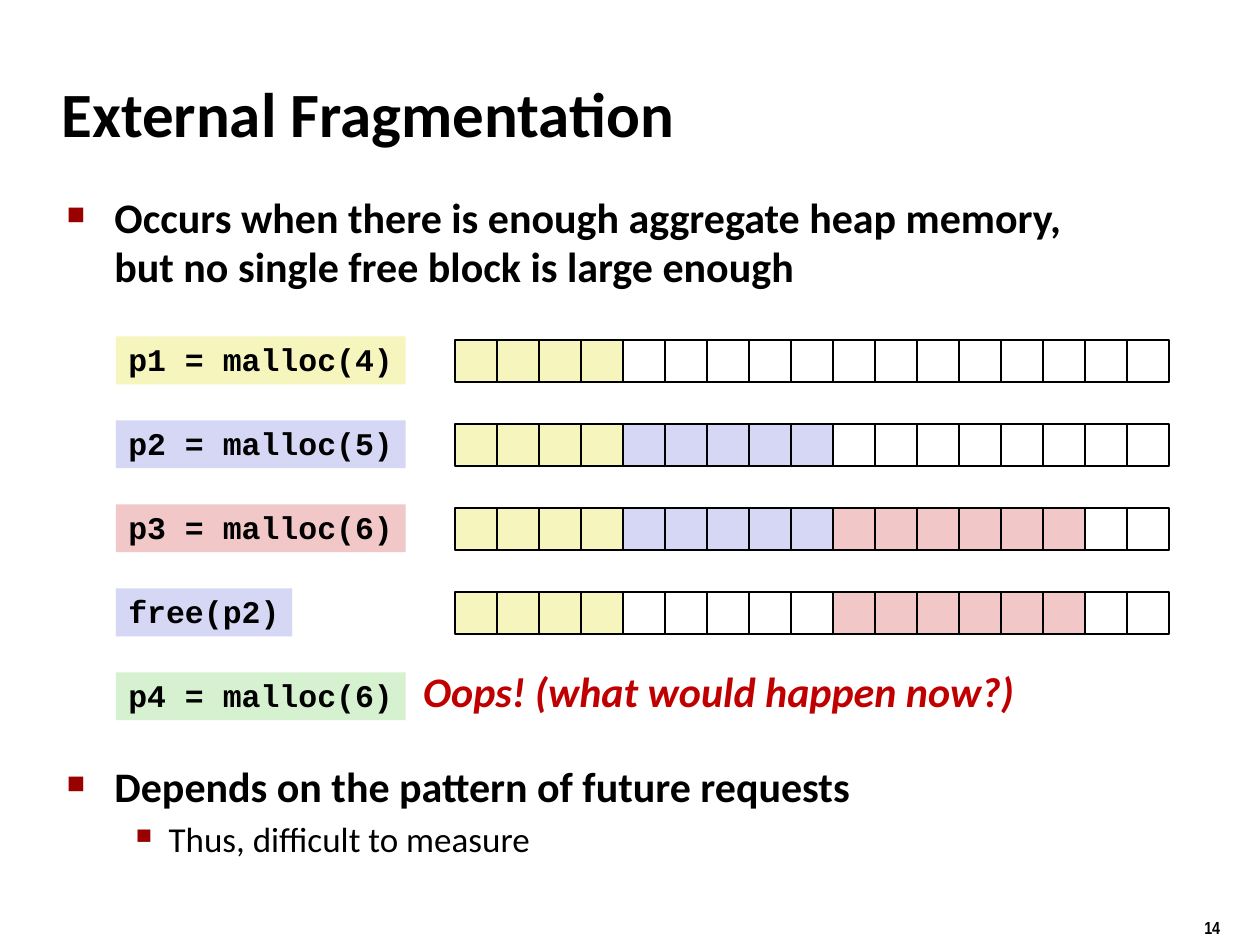
from dataclasses import dataclass

from lxml.etree import SubElement
from pptx import Presentation
from pptx.dml.color import RGBColor as RGB
from pptx.enum.shapes import MSO_SHAPE as SHAPE
from pptx.enum.text import MSO_ANCHOR as ANCHOR
from pptx.oxml.ns import qn
from pptx.util import Inches, Pt


@dataclass(frozen=True)
class Theme:
    ink: str = "000000"
    free: str = "FFFFFF"
    bullet: str = "990000"
    alert: str = "C00000"
    p1: str = "F6F5BD"
    p2: str = "D6D6F5"
    p3: str = "F1C7C7"
    p4: str = "D5F1CF"
    body_font: str = "Calibri"
    code_font: str = "Courier New"
    number_font: str = "Arial Narrow"
    title_size: int = 36
    body_size: int = 24
    sub_size: int = 20
    code_size: int = 18
    number_size: int = 10


THEME = Theme()
CELL = 1 / 3
ROW_STEP = 2 / 3
HEAP_CELLS = 17


def write(p, text, font=THEME.body_font, size=THEME.body_size,
          color=THEME.ink, bold=True, italic=False, line=None, before=0):
    r = p.add_run()
    r.text = text
    r.font.name = font
    r.font.size = Pt(size)
    r.font.color.rgb = RGB.from_string(color)
    r.font.bold = bold
    r.font.italic = italic
    if line:
        p.line_spacing = line
    p.space_before = Pt(before)


class SlideBuilder:
    def __init__(self, slide, theme):
        self.s = slide
        self.theme = theme

    def text(self, x, y, w, h, text, wrap=False, anchor=ANCHOR.TOP, **fmt):
        sp = self.s.shapes.add_textbox(Inches(x), Inches(y), Inches(w), Inches(h))
        tf = sp.text_frame
        tf.word_wrap = wrap
        tf.vertical_anchor = anchor
        write(tf.paragraphs[0], text, **fmt)
        return sp

    def bullets(self, x, y, w, h, items):
        sp = self.s.shapes.add_textbox(Inches(x), Inches(y), Inches(w), Inches(h))
        tf = sp.text_frame
        tf.word_wrap = True
        for i, (text, level) in enumerate(items):
            p = tf.paragraphs[0] if i == 0 else tf.add_paragraph()
            p.level = level
            size = self.theme.sub_size if level else self.theme.body_size
            write(p, text, size=size, bold=level == 0, line=0.98, before=size / 5)
            self.mark(p, level)

    def mark(self, p, level):
        char, scale, left, hang = (("■", 60, 0.38, 0.38), ("▪", 110, 0.81, 0.31))[level]
        pPr = p._p.get_or_add_pPr()
        pPr.set("marL", str(Inches(left)))
        pPr.set("indent", str(-Inches(hang)))
        clr = SubElement(pPr, qn("a:buClr"))
        SubElement(clr, qn("a:srgbClr"), val=self.theme.bullet)
        SubElement(pPr, qn("a:buSzPct"), val=str(scale * 1000))
        SubElement(pPr, qn("a:buChar"), char=char)

    def code(self, x, y, text, fill):
        sp = self.text(x, y, 0.2 + 0.15 * len(text), 0.38, text, line=0.94,
                       font=self.theme.code_font, size=self.theme.code_size)
        sp.fill.solid()
        sp.fill.fore_color.rgb = RGB.from_string(fill)

    def heap(self, x, y, blocks):
        cells = [color for color, count in blocks for _ in range(count)]
        cells += [self.theme.free] * (HEAP_CELLS - len(cells))
        group = self.s.shapes.add_group_shape()
        for i, color in enumerate(cells):
            sp = group.shapes.add_shape(SHAPE.RECTANGLE, Inches(x + i * CELL),
                                        Inches(y), Inches(CELL), Inches(CELL))
            sp.shadow.inherit = False
            sp.fill.solid()
            sp.fill.fore_color.rgb = RGB.from_string(color)
            sp.line.color.rgb = RGB.from_string(self.theme.ink)
            sp.line.width = Pt(1)


def main():
    prs = Presentation()
    prs.slide_width, prs.slide_height = Inches(10), Inches(7.5)
    t = THEME
    b = SlideBuilder(prs.slides.add_slide(prs.slide_layouts[6]), t)

    b.text(9.46, 7.23, 0.74, 0.26, "14", font=t.number_font, size=t.number_size)
    b.text(0.39, 0.48, 8.3, 0.83, "External Fragmentation", wrap=True,
           anchor=ANCHOR.MIDDLE, size=t.title_size)
    b.bullets(0.43, 1.49, 8.6, 0.95, [
        ("Occurs when there is enough aggregate heap memory, "
         "but no single free block is large enough", 0)])

    block1, block2, block3 = (t.p1, 4), (t.p2, 5), (t.p3, 6)
    freed = (t.free, 5)
    steps = [
        ("p1 = malloc(4)", t.p1, [block1]),
        ("p2 = malloc(5)", t.p2, [block1, block2]),
        ("p3 = malloc(6)", t.p3, [block1, block2, block3]),
        ("free(p2)", t.p2, [block1, freed, block3]),
        ("p4 = malloc(6)", t.p4, None),
    ]
    for i, (call, color, blocks) in enumerate(steps):
        y = 2.67 + i * ROW_STEP
        if blocks:
            b.heap(3.61, y + 0.03, blocks)
        b.code(0.92, y, call, color)
    b.text(3.26, 5.23, 5.41, 0.5, "Oops! (what would happen now?)",
           color=t.alert, italic=True)

    b.bullets(0.43, 6.01, 8.6, 0.92, [
        ("Depends on the pattern of future requests", 0),
        ("Thus, difficult to measure", 1)])

    prs.save("out.pptx")


if __name__ == "__main__":
    main()
